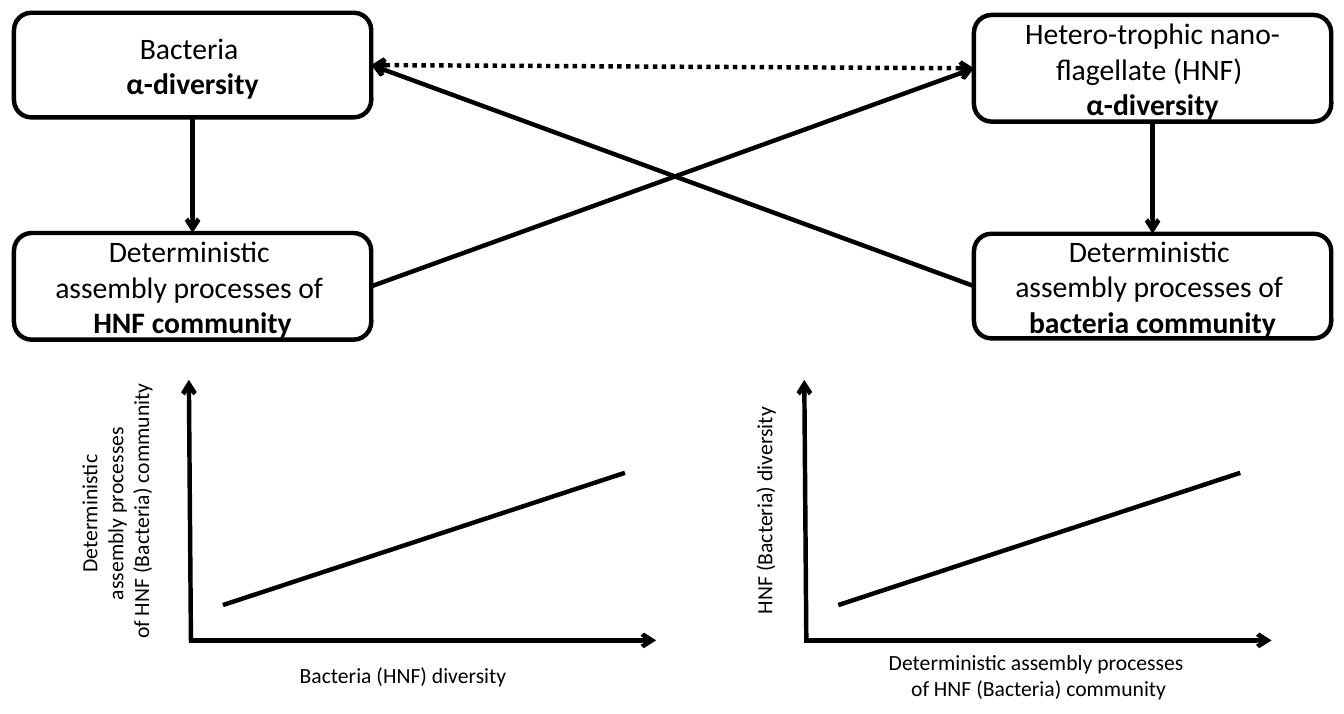
from lxml.etree import SubElement
from pptx import Presentation
from pptx.dml.color import RGBColor
from pptx.enum.dml import MSO_LINE
from pptx.enum.shapes import MSO_CONNECTOR, MSO_SHAPE
from pptx.enum.text import MSO_ANCHOR, PP_ALIGN
from pptx.oxml.ns import qn
from pptx.util import Pt

BLACK = RGBColor(0, 0, 0)
TOP, LEFT, BOTTOM, RIGHT = range(4)

deck = Presentation()
deck.slide_width = Pt(907.2)
deck.slide_height = Pt(481.7)
slide = deck.slides.add_slide(deck.slide_layouts[6])
shapes = slide.shapes


def write(frame, lines, size, bold_last=False):
    frame.vertical_anchor = MSO_ANCHOR.MIDDLE
    for i, line in enumerate(lines):
        para = frame.paragraphs[0] if i == 0 else frame.add_paragraph()
        para.alignment = PP_ALIGN.CENTER
        run = para.add_run()
        run.text = line
        run.font.name = "Calibri"
        run.font.size = Pt(size)
        run.font.color.rgb = BLACK
        if bold_last and line == lines[-1]:
            run.font.bold = True


def draw(x1, y1, x2, y2, ends=(), dash=None):
    link = shapes.add_connector(MSO_CONNECTOR.STRAIGHT, Pt(x1), Pt(y1), Pt(x2), Pt(y2))
    link.line.color.rgb = BLACK
    link.line.width = Pt(3)
    if dash:
        link.line.dash_style = dash
    props = link._element.spPr
    for end in ends:
        SubElement(props.find(qn("a:ln")), qn(f"a:{end}")).set("type", "arrow")
    SubElement(props, qn("a:effectLst"))
    return link


boxes = {}
for name, x, y, high, lines in [
    ("bacteria", 9.4, 8.6, 70.6, ["Bacteria ", "α-diversity"]),
    ("flagellate", 657.4, 10.1, 72, ["Hetero-trophic nano-flagellate (HNF) ", "α-diversity"]),
    ("hnf process", 9.4, 157.2, 72, ["Deterministic ", "assembly processes of ", "HNF community"]),
    ("bacteria process", 657.4, 157.7, 70.6,
     ["Deterministic ", "assembly processes of ", "bacteria community"]),
]:
    box = shapes.add_shape(MSO_SHAPE.ROUNDED_RECTANGLE, Pt(x), Pt(y), Pt(241.2), Pt(high))
    box.shadow.inherit = False
    box.fill.background()
    box.line.color.rgb = BLACK
    box.line.width = Pt(3)
    box.text_frame.word_wrap = True
    write(box.text_frame, lines, 20, bold_last=True)
    boxes[name] = box

for start, out, stop, into, ends, dash in [
    ("bacteria", RIGHT, "flagellate", LEFT, ("headEnd", "tailEnd"), MSO_LINE.ROUND_DOT),
    ("bacteria", BOTTOM, "hnf process", TOP, ("tailEnd",), None),
    ("flagellate", BOTTOM, "bacteria process", TOP, ("tailEnd",), None),
    ("hnf process", RIGHT, "flagellate", LEFT, ("tailEnd",), None),
    ("bacteria process", LEFT, "bacteria", RIGHT, ("tailEnd",), None),
]:
    link = draw(0, 0, 0, 0, ends, dash)
    link.begin_connect(boxes[start], out)
    link.end_connect(boxes[stop], into)

for x in (127.5, 542.9):
    draw(x + 1.4, 432.7, x, 256.3, ("tailEnd",))
    draw(x, 432, x + 315.4, 432, ("tailEnd",))
    draw(x + 23, 408.2, x + 294.3, 319)

for x, y, wide, high, turn, lines in [
    (194.4, 442.8, 155.5, 25.2, 0, ["Bacteria (HNF) diversity"]),
    (-16.6, 314.6, 187.9, 60.5, 270,
     ["Deterministic ", "assembly processes ", "of HNF (Bacteria) community"]),
    (437.8, 331.9, 155.5, 25.2, 270, ["HNF (Bacteria) diversity"]),
    (591.8, 434.2, 218.9, 42.5, 0,
     ["Deterministic assembly processes ", "of HNF (Bacteria) community"]),
]:
    label = shapes.add_textbox(Pt(x), Pt(y), Pt(wide), Pt(high))
    label.rotation = turn
    label.text_frame.word_wrap = False
    write(label.text_frame, lines, 14.6)

deck.save("out.pptx")
